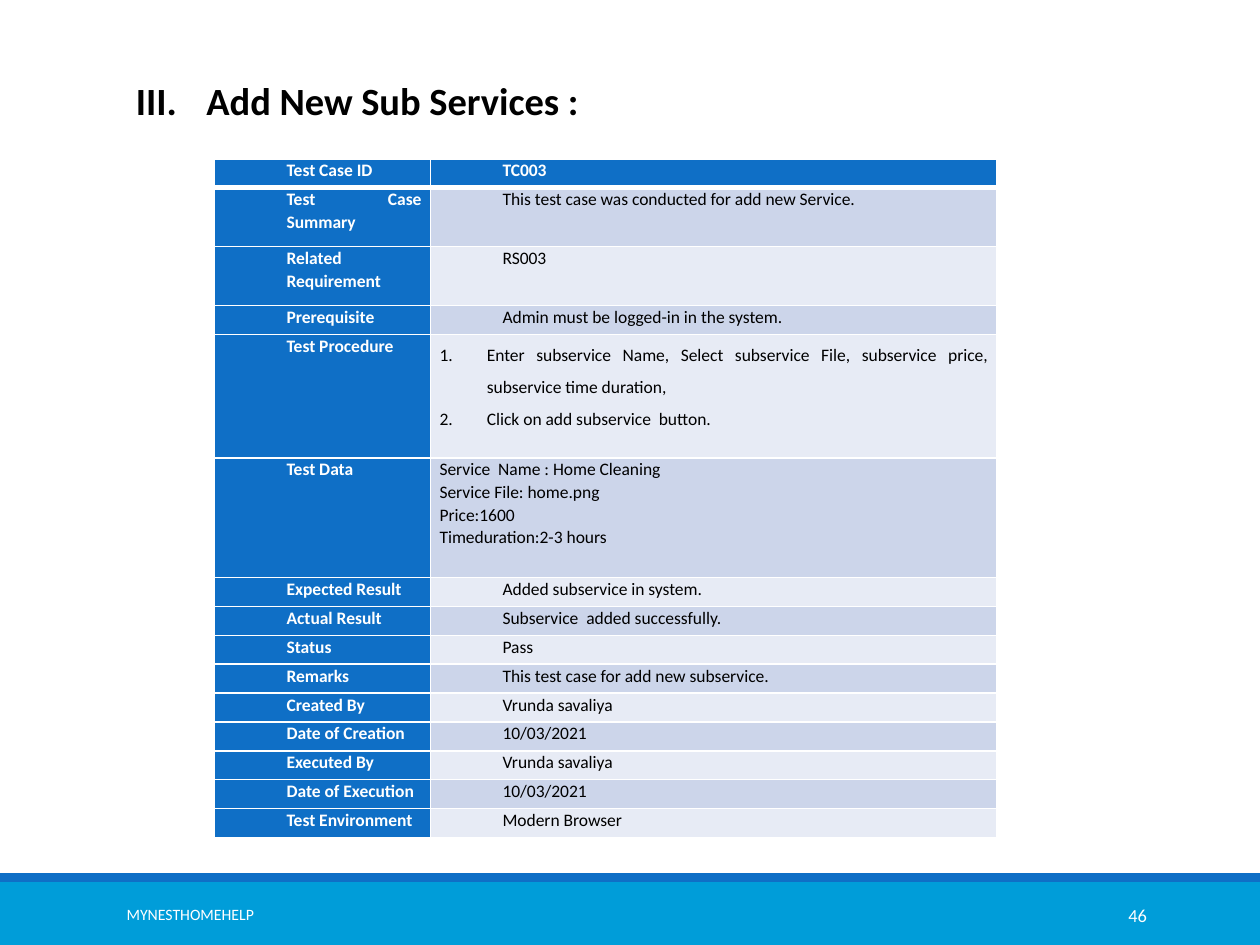
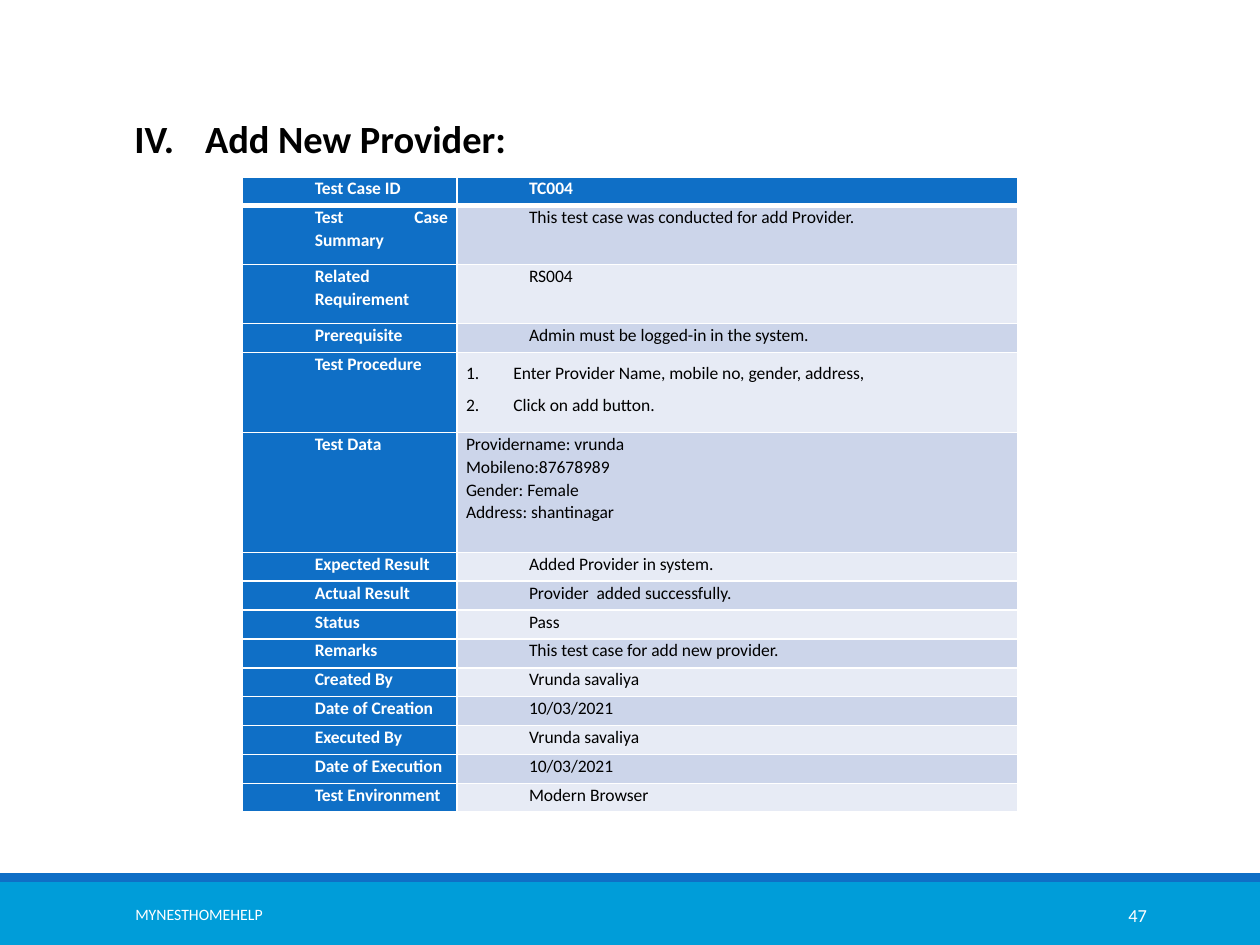
from lxml import etree
from pptx import Presentation, util as u
from pptx.dml.color import RGBColor
from pptx.enum import shapes, text
from pptx.oxml.ns import qn

Pt = u.Pt
BLUE = RGBColor(0x0F, 0x6F, 0xC6)
CYAN = RGBColor(0x00, 0x9D, 0xD9)
WHITE = RGBColor(0xFF, 0xFF, 0xFF)
BLACK = RGBColor(0, 0, 0)
ROW_FILLS = RGBColor(0xE7, 0xEB, 0xF5), RGBColor(0xCC, 0xD5, 0xEA)

FONT = "Calibri"
LEFT, RIGHT = text.PP_ALIGN.LEFT, text.PP_ALIGN.RIGHT
CENTER, JUSTIFY = text.PP_ALIGN.CENTER, text.PP_ALIGN.JUSTIFY
BRAND = "MYNESTHOMEHELP"

LABELS = ["Test Case ID", "Test Case Summary", "Related Requirement",
          "Prerequisite", "Test Procedure", "Test Data", "Expected Result",
          "Actual Result", "Status", "Remarks", "Created By",
          "Date of Creation", "Executed By", "Date of Execution",
          "Test Environment"]
PREREQUISITE = "Admin must be logged-in in the system."
SIGN_OFF = ["Vrunda savaliya", "10/03/2021"] * 2 + ["Modern Browser"]
ROW_H = 16.5
ROW_HEIGHTS = {"Test Case Summary": 33.7, "Related Requirement": 33.7,
               "Test Data": 68.4}


class Deck:
    """Holds the shared style and the current slide."""

    def __init__(self):
        self.prs = Presentation()
        self.prs.slide_width, self.prs.slide_height = Pt(720), Pt(540)
        self.s = None

    def slide(self, number, brand_left):
        self.s = self.prs.slides.add_slide(self.prs.slide_layouts[6])
        # Footer bands, then footer text
        self.band(504, 36, CYAN)
        self.band(499, 5, BLUE)
        self.footer(BRAND, brand_left, 285, 9, CENTER)
        self.footer(str(number), 584.6, 77.8, 10.5, RIGHT)

    def band(self, top, height, color):
        sp = self.s.shapes.add_shape(shapes.MSO_SHAPE.RECTANGLE,
                                     0, Pt(top), Pt(720), Pt(height))
        sp.shadow.inherit = False
        sp.fill.solid()
        sp.fill.fore_color.rgb = color
        sp.line.fill.background()

    def style(self, p, size, color, bold=False, align=JUSTIFY, spacing=None,
              after=0, margin=0, indent=0, numbering=None, start=1):
        p.alignment = align
        if spacing:
            p.line_spacing = spacing
        p.space_after = Pt(after)
        pPr = p._p.get_or_add_pPr()
        pPr.set("marL", str(Pt(margin)))
        pPr.set("indent", str(Pt(indent)))
        if numbering:
            bullet = etree.SubElement(pPr, qn("a:buAutoNum"), type=numbering)
            if start > 1:
                bullet.set("startAt", str(start))
        for r in p.runs:
            r.font.name, r.font.size = FONT, Pt(size)
            r.font.bold, r.font.color.rgb = bold, color

    def textbox(self, words, left, top, width, height):
        sp = self.s.shapes.add_textbox(Pt(left), Pt(top), Pt(width), Pt(height))
        tf = sp.text_frame
        tf.word_wrap = True
        tf.text = words
        return tf

    def footer(self, words, left, width, size, align):
        tf = self.textbox(words, left, 508.3, width, 28.8)
        tf.vertical_anchor = text.MSO_ANCHOR.MIDDLE
        self.style(tf.paragraphs[0], size, WHITE, align=align)

    def title(self, words, left, top, height, start):
        tf = self.textbox(words, left, top, 652.3, height)
        tf.auto_size = text.MSO_AUTO_SIZE.SHAPE_TO_FIT_TEXT
        self.style(tf.paragraphs[0], 22, BLACK, bold=True, spacing=1.5,
                   margin=76.3, indent=-40.3,
                   numbering="romanUcPeriod", start=start)

    def borders(self, cell, top, bottom):
        tcPr = cell._tc.get_or_add_tcPr()
        for side, width in zip("LRTB", (1, 1, top, bottom)):
            ln = etree.SubElement(tcPr, qn(f"a:ln{side}"), w=str(Pt(width)))
            fill = etree.SubElement(ln, qn("a:solidFill"))
            etree.SubElement(fill, qn("a:srgbClr"), val=str(WHITE))

    def cell(self, cell, row, words, fill, **style):
        self.borders(cell, top=3 if row == 1 else 1, bottom=1 if row else 3)
        cell.margin_left = cell.margin_right = Pt(5.2)
        cell.margin_top = cell.margin_bottom = 0
        cell.fill.solid()
        cell.fill.fore_color.rgb = fill
        cell.text_frame.text = words
        for p in cell.text_frame.paragraphs:
            self.style(p, 10, **style)

    def test_case(self, values, left, top, widths, procedure_height):
        heights = [procedure_height if name == "Test Procedure"
                   else ROW_HEIGHTS.get(name, ROW_H) for name in LABELS]
        table = self.s.shapes.add_table(
            len(LABELS), 2, Pt(left), Pt(top),
            Pt(sum(widths)), Pt(sum(heights))).table
        for column, width in zip(table.columns, widths):
            column.width = Pt(width)
        for i, (label, value) in enumerate(zip(LABELS, values)):
            table.rows[i].height = Pt(heights[i])
            self.cell(table.cell(i, 0), i, label, BLUE, color=WHITE,
                      bold=True, spacing=1.07, margin=36)
            layout = dict(spacing=1.07, margin=36, after=8)
            if label == "Test Procedure":
                layout = dict(spacing=1.5, margin=27, indent=-27,
                              numbering="arabicPeriod")
            elif label == "Test Data":
                layout = dict(spacing=1.07)
            header = i == 0
            self.cell(table.cell(i, 1), i, value,
                      BLUE if header else ROW_FILLS[i % 2],
                      color=WHITE if header else BLACK, bold=header, **layout)


def main():
    deck = Deck()

    # Sub services test case
    deck.slide(46, brand_left=-33.8)
    deck.title("Add New Sub Services :", 34.6, 27.4, 47.5, start=3)
    deck.test_case([
        "TC003", "This test case was conducted for add new Service.", "RS003",
        PREREQUISITE,
        "Enter subservice Name, Select subservice File, subservice price, "
        "subservice time duration,\nClick on add subservice  button.",
        "Service  Name : Home Cleaning\nService File: home.png\n"
        "Price:1600\nTimeduration:2-3 hours",
        "Added subservice in system.", "Subservice  added successfully.",
        "Pass", "This test case for add new subservice.", *SIGN_OFF,
    ], 122.6, 90.8, (123.4, 323.6), procedure_height=70.5)

    # Provider test case
    deck.slide(47, brand_left=-28.8)
    deck.title("Add New Provider:", 33.8, 49, 43.2, start=4)
    deck.test_case([
        "TC004", "This test case was conducted for add Provider.", "RS004",
        PREREQUISITE,
        "Enter Provider Name, mobile no, gender, address,\n"
        "Click on add button.",
        "Providername: vrunda\nMobileno:87678989\n"
        "Gender: Female\nAddress: shantinagar",
        "Added Provider in system.", "Provider  added successfully.",
        "Pass", "This test case for add new provider.", *SIGN_OFF,
    ], 138.7, 101.1, (122.4, 320.4), procedure_height=45.8)

    deck.prs.save("out.pptx")


if __name__ == "__main__":
    main()
